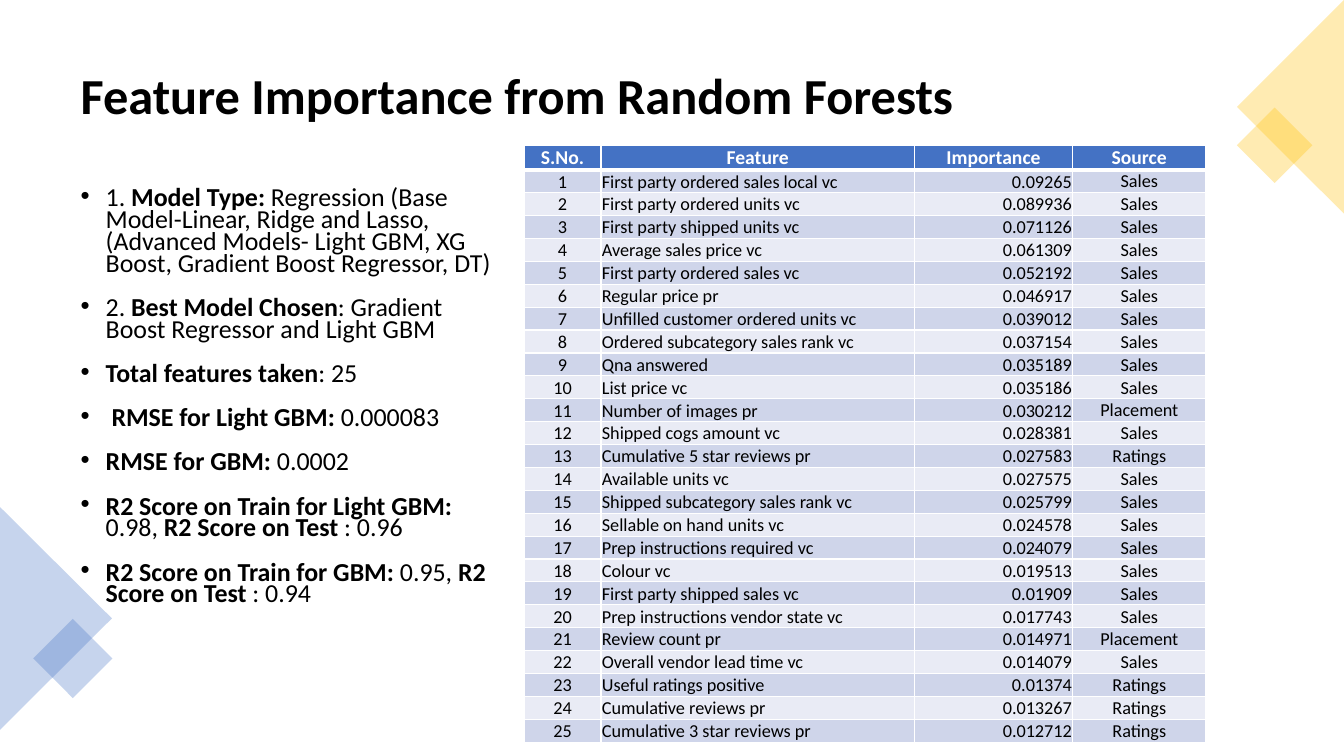
from dataclasses import dataclass

from lxml import etree
from pptx import Presentation
from pptx.dml.color import RGBColor
from pptx.enum.shapes import MSO_SHAPE
from pptx.enum.text import MSO_ANCHOR, PP_ALIGN
from pptx.oxml.ns import qn
from pptx.util import Inches, Pt

TRIANGLE, SQUARE = MSO_SHAPE.ISOSCELES_TRIANGLE, MSO_SHAPE.RECTANGLE
MIDDLE, BOTTOM = MSO_ANCHOR.MIDDLE, MSO_ANCHOR.BOTTOM
LEFT, CENTER, RIGHT = PP_ALIGN.LEFT, PP_ALIGN.CENTER, PP_ALIGN.RIGHT


@dataclass(frozen=True)
class Theme:
    font: str = "Calibri"
    black: str = "000000"
    white: str = "FFFFFF"
    blue: str = "4472C4"
    gold: str = "FFC000"
    bands: tuple = ("CFD5EA", "E9EBF5")
    title_size: float = 36
    body_size: float = 18.5
    header_size: float = 14
    cell_size: float = 13


THEME = Theme()

TITLE = "Feature Importance from Random Forests"

# Each bullet is a list of (text, bold) spans.
FINDINGS = [
    [("1. ", False), ("Model Type: ", True),
     ("Regression (Base Model-Linear, Ridge and Lasso, (Advanced Models- Light GBM, "
      "XG Boost, Gradient Boost Regressor, DT)", False)],
    [("2. ", False), ("Best Model Chosen", True),
     (": Gradient Boost Regressor and Light GBM", False)],
    [("Total features taken", True), (": 25", False)],
    [(" ", False), ("RMSE for Light GBM: ", True), ("0.000083", False)],
    [("RMSE for GBM: ", True), ("0.0002", False)],
    [("R2 Score on Train for Light GBM: ", True), ("0.98, ", False),
     ("R2 Score on Test ", True), (": 0.96", False)],
    [("R2 Score on Train for GBM: ", True), ("0.95, ", False),
     ("R2 Score on Test ", True), (": 0.94", False)],
]

HEADERS = ("S.No.", "Feature", "Importance", "Source")
COLUMN_WIDTHS = (0.76, 3.11, 1.57, 1.32)
COLUMN_ALIGNS = (CENTER, LEFT, RIGHT, CENTER)
COLUMN_ANCHORS = (MIDDLE, MIDDLE, MIDDLE, BOTTOM)
FEATURES = [
    ("First party ordered sales local vc", "0.09265", "Sales"),
    ("First party ordered units vc", "0.089936", "Sales"),
    ("First party shipped units vc", "0.071126", "Sales"),
    ("Average sales price vc", "0.061309", "Sales"),
    ("First party ordered sales vc", "0.052192", "Sales"),
    ("Regular price pr", "0.046917", "Sales"),
    ("Unfilled customer ordered units vc", "0.039012", "Sales"),
    ("Ordered subcategory sales rank vc", "0.037154", "Sales"),
    ("Qna answered", "0.035189", "Sales"),
    ("List price vc", "0.035186", "Sales"),
    ("Number of images pr", "0.030212", "Placement"),
    ("Shipped cogs amount vc", "0.028381", "Sales"),
    ("Cumulative 5 star reviews pr", "0.027583", "Ratings"),
    ("Available units vc", "0.027575", "Sales"),
    ("Shipped subcategory sales rank vc", "0.025799", "Sales"),
    ("Sellable on hand units vc", "0.024578", "Sales"),
    ("Prep instructions required vc", "0.024079", "Sales"),
    ("Colour vc", "0.019513", "Sales"),
    ("First party shipped sales vc", "0.01909", "Sales"),
    ("Prep instructions vendor state vc", "0.017743", "Sales"),
    ("Review count pr", "0.014971", "Placement"),
    ("Overall vendor lead time vc", "0.014079", "Sales"),
    ("Useful ratings positive", "0.01374", "Ratings"),
    ("Cumulative reviews pr", "0.013267", "Ratings"),
    ("Cumulative 3 star reviews pr", "0.012712", "Ratings"),
]


def style_span(span, size, color=THEME.black, bold=False):
    span.font.name = THEME.font
    span.font.size = Pt(size)
    span.font.bold = bold
    span.font.color.rgb = RGBColor.from_string(color)


def add_title(page, box):
    title = page.shapes.title
    title.left, title.top, title.width, title.height = map(Inches, box)
    frame = title.text_frame
    frame.text = TITLE
    frame.vertical_anchor = MIDDLE
    para = frame.paragraphs[0]
    para.alignment = LEFT
    para.line_spacing = 0.9
    style_span(para.runs[0], THEME.title_size, bold=True)


def add_bullet(para):
    properties = para._p.get_or_add_pPr()
    properties.set("marL", str(Inches(0.25)))
    properties.set("indent", str(-Inches(0.25)))
    etree.SubElement(properties, qn("a:buFont")).set("typeface", "Arial")
    etree.SubElement(properties, qn("a:buChar")).set("char", "•")


def add_findings(page, box):
    frame = page.shapes.add_textbox(*map(Inches, box)).text_frame
    frame.word_wrap = True
    for index, spans in enumerate(FINDINGS):
        para = frame.add_paragraph() if index else frame.paragraphs[0]
        para.line_spacing = 0.7
        para.space_before, para.space_after = Pt(10), Pt(6)
        add_bullet(para)
        for text, bold in spans:
            span = para.add_run()
            span.text = text
            style_span(span, THEME.body_size, bold=bold)


def add_corner(page, box, color, base_on_left):
    """Fill the box with a triangle based on one side edge, and a diamond over it."""
    left, top, depth, length = box
    side = depth / 2
    reach = 0.65 if base_on_left else 0.35
    middle = (left + depth / 2, top + length / 2)
    diamond = (left + depth * reach, top + length * 0.68)
    group = page.shapes.add_group_shape()
    for kind, (x, y), width, height, turn in (
        (TRIANGLE, middle, length, depth, 90 if base_on_left else 270),
        (SQUARE, diamond, side, side, 45),
    ):
        shape = group.shapes.add_shape(
            kind, Inches(x - width / 2), Inches(y - height / 2), Inches(width), Inches(height))
        shape.rotation = turn
        shape.shadow.inherit = False
        shape.line.fill.background()
        shape.fill.solid()
        shape.fill.fore_color.rgb = RGBColor.from_string(color)
        tint = shape._element.spPr.find(".//" + qn("a:srgbClr"))
        etree.SubElement(tint, qn("a:alpha")).set("val", "30000")


def add_borders(cell, bottom_width):
    properties = cell._tc.get_or_add_tcPr()
    for index, (edge, width) in enumerate(
            (("lnL", 1), ("lnR", 1), ("lnT", 1), ("lnB", bottom_width))):
        line = etree.Element(qn("a:" + edge), w=str(Pt(width)))
        fill = etree.SubElement(line, qn("a:solidFill"))
        etree.SubElement(fill, qn("a:srgbClr")).set("val", THEME.white)
        properties.insert(index, line)


def add_feature_table(page, box):
    rows = [HEADERS] + [(str(rank), *row) for rank, row in enumerate(FEATURES, 1)]
    table = page.shapes.add_table(len(rows), len(HEADERS), *map(Inches, box)).table
    for column, width in zip(table.columns, COLUMN_WIDTHS):
        column.width = Inches(width)
    for r, values in enumerate(rows):
        is_header = r == 0
        table.rows[r].height = Inches(0.24 if is_header else 0.19)
        for c, text in enumerate(values):
            cell = table.cell(r, c)
            cell.margin_left = cell.margin_right = cell.margin_top = Inches(0.01)
            cell.margin_bottom = 0
            cell.vertical_anchor = BOTTOM if is_header else COLUMN_ANCHORS[c]
            cell.fill.solid()
            cell.fill.fore_color.rgb = RGBColor.from_string(
                THEME.blue if is_header else THEME.bands[(r - 1) % 2])
            add_borders(cell, 3 if is_header else 1)
            cell.text_frame.text = text
            para = cell.text_frame.paragraphs[0]
            para.alignment = CENTER if is_header else COLUMN_ALIGNS[c]
            if is_header:
                style_span(para.runs[0], THEME.header_size, THEME.white, bold=True)
            else:
                style_span(para.runs[0], THEME.cell_size)


def main():
    deck = Presentation()
    deck.slide_width, deck.slide_height = Inches(13.33), Inches(7.5)
    page = deck.slides.add_slide(deck.slide_layouts.get_by_name("Title Only"))
    add_title(page, (0.7, 0.35, 11.93, 1.24))
    add_findings(page, (0.7, 1.83, 4.38, 4.59))
    add_corner(page, (0, 5.03, 1.11, 2.21), THEME.blue, base_on_left=True)
    add_corner(page, (12.27, 0, 1.06, 2.12), THEME.gold, base_on_left=False)
    add_feature_table(page, (5.2, 1.44, 6.76, 4.99))
    deck.save("out.pptx")


if __name__ == "__main__":
    main()
